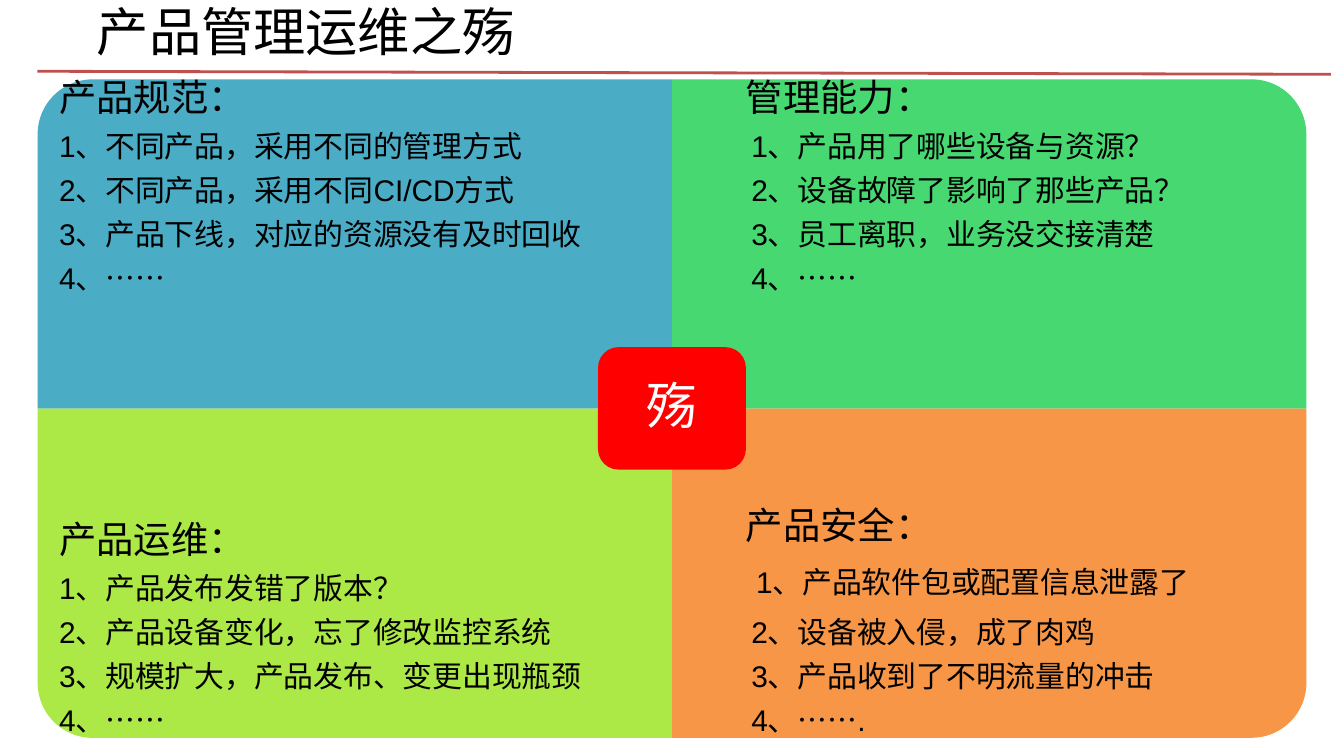
"""Build the slide on four weak areas of product management and operations."""
from lxml.etree import SubElement
from pptx import Presentation
from pptx.dml.color import RGBColor
from pptx.enum.shapes import MSO_CONNECTOR, MSO_SHAPE as Shape
from pptx.enum.text import MSO_ANCHOR as Anchor, PP_ALIGN as Align
from pptx.oxml.ns import qn
from pptx.util import Pt


def color(hex_code):
    return RGBColor.from_string(hex_code)


def set_font(paragraph, name, size, hex_code):
    paragraph.font.name = name
    paragraph.font.size = Pt(size)
    paragraph.font.color.rgb = color(hex_code)


deck = Presentation()
deck.slide_width, deck.slide_height = Pt(720), Pt(405)
slide = deck.slides.add_slide(deck.slide_layouts[5])
shapes = slide.shapes

title = shapes.title
title.left, title.top, title.width, title.height = Pt(42.5), Pt(-5), Pt(430.5), Pt(43)
heading = title.text_frame
heading.text = "产品管理运维之殇"
heading.vertical_anchor = Anchor.MIDDLE
heading.margin_left = heading.margin_right = Pt(9.4)
heading.margin_top = heading.margin_bottom = Pt(4.3)
heading.paragraphs[0].alignment = Align.LEFT
set_font(heading.paragraphs[0], "Noto Sans CJK SC", 28, "000000")

rule = shapes.add_connector(MSO_CONNECTOR.STRAIGHT, Pt(20), Pt(38.2), Pt(713), Pt(39.8))
rule.line.color.rgb = color("C0504D")
rule.line.width = Pt(1.5)
SubElement(rule._element.spPr, qn("a:effectLst"))

LEFT, TOP, WIDTH, HEIGHT, TEXT_HEIGHT = 20.16, 42.5, 339.84, 176.4, 132.4
quadrants = [
    (0, 0, 270, "4BACC6", ["产品规范：", "1、不同产品，采用不同的管理方式",
                           "2、不同产品，采用不同CI/CD方式",
                           "3、产品下线，对应的资源没有及时回收", "4、……"]),
    (1, 0, 0, "47D872", ["管理能力：", "1、产品用了哪些设备与资源？",
                         "2、设备故障了影响了那些产品？",
                         "3、员工离职，业务没交接清楚", "4、……"]),
    (0, 1, 180, "ACE946", ["产品运维：", "1、产品发布发错了版本？",
                           "2、产品设备变化，忘了修改监控系统",
                           "3、规模扩大，产品发布、变更出现瓶颈", "4、……"]),
    (1, 1, 90, "F79646", ["产品安全：", "1、产品软件包或配置信息泄露了",
                          "2、设备被入侵，成了肉鸡",
                          "3、产品收到了不明流量的冲击", "4、……."]),
]
for column, row, turn, fill, lines in quadrants:
    x, y = LEFT + column * WIDTH, TOP + row * HEIGHT
    w, h = (HEIGHT, WIDTH) if turn in (90, 270) else (WIDTH, HEIGHT)
    panel = shapes.add_shape(Shape.ROUND_1_RECTANGLE, Pt(x + (WIDTH - w) / 2),
                             Pt(y + (HEIGHT - h) / 2), Pt(w), Pt(h))
    panel.rotation = turn
    panel.shadow.inherit = False
    panel.fill.solid()
    panel.fill.fore_color.rgb = color(fill)
    panel.line.fill.background()

    issues = shapes.add_textbox(Pt(x), Pt(y + row * (HEIGHT - TEXT_HEIGHT)),
                                Pt(WIDTH), Pt(TEXT_HEIGHT)).text_frame
    issues.word_wrap = True
    issues.vertical_anchor = Anchor.BOTTOM if row else Anchor.TOP
    issues.margin_left = issues.margin_right = Pt(11.5)
    issues.margin_top = issues.margin_bottom = 0
    issues.text = "\n".join(lines)
    for number, issue in enumerate(issues.paragraphs):
        issue.line_spacing = 0.9
        issue.space_after = Pt(6.3)
        indent = 31 if number else 28
        if column and row and number == 1:
            indent = 33.5
            issue.space_before, issue.space_after = Pt(4.5), Pt(9.3)
        if column:
            issue._p.get_or_add_pPr().set("marL", str(Pt(indent)))
        set_font(issue, "Arial", 16 if number else 20, "000000")

core = shapes.add_shape(Shape.ROUNDED_RECTANGLE, Pt(320.4), Pt(186), Pt(79.2), Pt(65.6))
core.shadow.inherit = False
core.fill.solid()
core.fill.fore_color.rgb = color("FF0000")
core.line.fill.background()
core.text_frame.text = "殇"
core.text_frame.vertical_anchor = Anchor.MIDDLE
core_word = core.text_frame.paragraphs[0]
core_word.alignment = Align.CENTER
core_word.line_spacing = 0.9
core_word.space_after = Pt(6.3)
set_font(core_word, "DejaVu Sans", 27, "FFFFFF")

deck.save("out.pptx")
